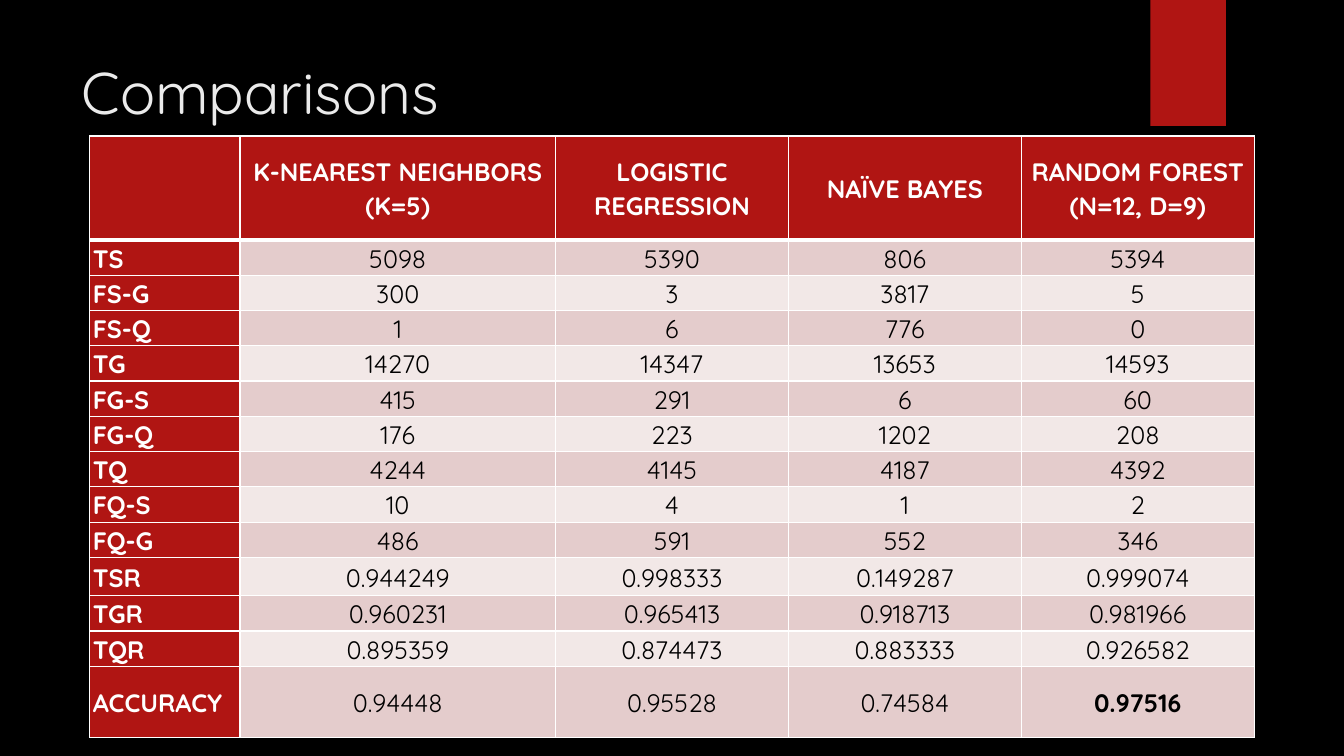
import dataclasses

import pptx
import pptx.dml.color
import pptx.enum.shapes
import pptx.enum.text
import pptx.oxml.ns
import pptx.util
from lxml import etree

SCALE = 9144  # EMU in one px, 100 px to the inch


@dataclasses.dataclass(frozen=True)
class Theme:
    font: str = "Quicksand"
    back: str = "000000"
    red: str = "B01513"
    title: str = "EBEBEB"
    white: str = "FFFFFF"
    ink: str = "000000"
    bands: tuple[str, str] = ("E4CCCC", "F2E8E7")
    large: int = 42
    body: int = 18
    thin: int = 1
    thick: int = 3


@dataclasses.dataclass(frozen=True)
class Box:
    left: int
    top: int
    width: int
    height: int

    def emu(self) -> list[pptx.util.Emu]:
        return [px(n) for n in dataclasses.astuple(self)]


@dataclasses.dataclass(frozen=True)
class Row:
    label: str
    values: tuple[str, ...]
    height: int = 35


THEME = Theme()
TITLE = Box(71, 50, 1029, 153)
RIBBON = Box(1141, 0, 75, 125)
GRID = Box(89, 135, 1155, 597)
COLS = (149, 313, 231, 231, 231)
ROWS = (
    Row("", ("K-NEAREST NEIGHBORS (K=5)", "LOGISTIC REGRESSION", "NAÏVE BAYES",
             "RANDOM FOREST (N=12, D=9)"), 103),
    Row("TS", ("5098", "5390", "806", "5394")),
    Row("FS-G", ("300", "3", "3817", "5")),
    Row("FS-Q", ("1", "6", "776", "0")),
    Row("TG", ("14270", "14347", "13653", "14593")),
    Row("FG-S", ("415", "291", "6", "60")),
    Row("FG-Q", ("176", "223", "1202", "208")),
    Row("TQ", ("4244", "4145", "4187", "4392")),
    Row("FQ-S", ("10", "4", "1", "2")),
    Row("FQ-G", ("486", "591", "552", "346")),
    Row("TSR", ("0.944249", "0.998333", "0.149287", "0.999074"), 38),
    Row("TGR", ("0.960231", "0.965413", "0.918713", "0.981966")),
    Row("TQR", ("0.895359", "0.874473", "0.883333", "0.926582")),
    Row("ACCURACY", ("0.94448", "0.95528", "0.74584", "0.97516"), 71),
)
BEST = (len(ROWS) - 1, len(COLS) - 1)


def px(n: int) -> pptx.util.Emu:
    return pptx.util.Emu(n * SCALE)


def paint(fill, color: str) -> None:
    fill.solid()
    fill.fore_color.rgb = pptx.dml.color.RGBColor.from_string(color)


def style(par, size: int, color: str, bold: bool = False) -> None:
    par.font.name = THEME.font
    par.font.size = pptx.util.Pt(size)
    par.font.bold = bold
    par.font.color.rgb = pptx.dml.color.RGBColor.from_string(color)


def border(cell, side: str, width: int) -> None:
    qn = pptx.oxml.ns.qn
    props = cell._tc.get_or_add_tcPr()
    line = etree.SubElement(props, qn(f"a:ln{side}"), w=str(pptx.util.Pt(width)))
    fill = etree.SubElement(line, qn("a:solidFill"))
    etree.SubElement(fill, qn("a:srgbClr"), val=THEME.white)


def fill_cell(cell, text: str, row: int, col: int) -> None:
    head = row == 0 or col == 0
    # Borders come before the fill in the cell properties
    for side in "LRTB":
        rule = (row, side) in ((0, "B"), (1, "T"))
        border(cell, side, THEME.thick if rule else THEME.thin)
    paint(cell.fill, THEME.red if head else THEME.bands[(row - 1) % 2])
    cell.margin_left = cell.margin_right = px(3)
    cell.margin_top = cell.margin_bottom = 0
    cell.vertical_anchor = pptx.enum.text.MSO_ANCHOR.MIDDLE
    cell.text = text
    par = cell.text_frame.paragraphs[0]
    align = pptx.enum.text.PP_ALIGN
    par.alignment = align.CENTER if col else align.LEFT
    par.line_spacing = 1.07
    style(par, THEME.body, THEME.white if head else THEME.ink,
          head or (row, col) == BEST)


def add_title(slide) -> None:
    title = slide.shapes.title
    title.left, title.top, title.width, title.height = TITLE.emu()
    frame = title.text_frame
    frame.text = "Comparisons"
    frame.vertical_anchor = pptx.enum.text.MSO_ANCHOR.TOP
    par = frame.paragraphs[0]
    par.alignment = pptx.enum.text.PP_ALIGN.LEFT
    style(par, THEME.large, THEME.title)


def add_ribbon(slide) -> None:
    kind = pptx.enum.shapes.MSO_SHAPE.RECTANGLE
    ribbon = slide.shapes.add_shape(kind, *RIBBON.emu())
    ribbon.shadow.inherit = False
    paint(ribbon.fill, THEME.red)
    ribbon.line.fill.background()


def add_grid(slide) -> None:
    frame = slide.shapes.add_table(len(ROWS), len(COLS), *GRID.emu())
    table = frame.table
    table.first_row = table.horz_banding = False
    for col, width in zip(table.columns, COLS):
        col.width = px(width)
    for r, row in enumerate(ROWS):
        table.rows[r].height = px(row.height)
        for c, text in enumerate((row.label, *row.values)):
            fill_cell(table.cell(r, c), text, r, c)


def main() -> None:
    deck = pptx.Presentation()
    deck.slide_width, deck.slide_height = px(1333), px(750)
    slide = deck.slides.add_slide(deck.slide_layouts[5])
    paint(slide.background.fill, THEME.back)
    add_ribbon(slide)
    add_title(slide)
    add_grid(slide)
    deck.save("out.pptx")


if __name__ == "__main__":
    main()
